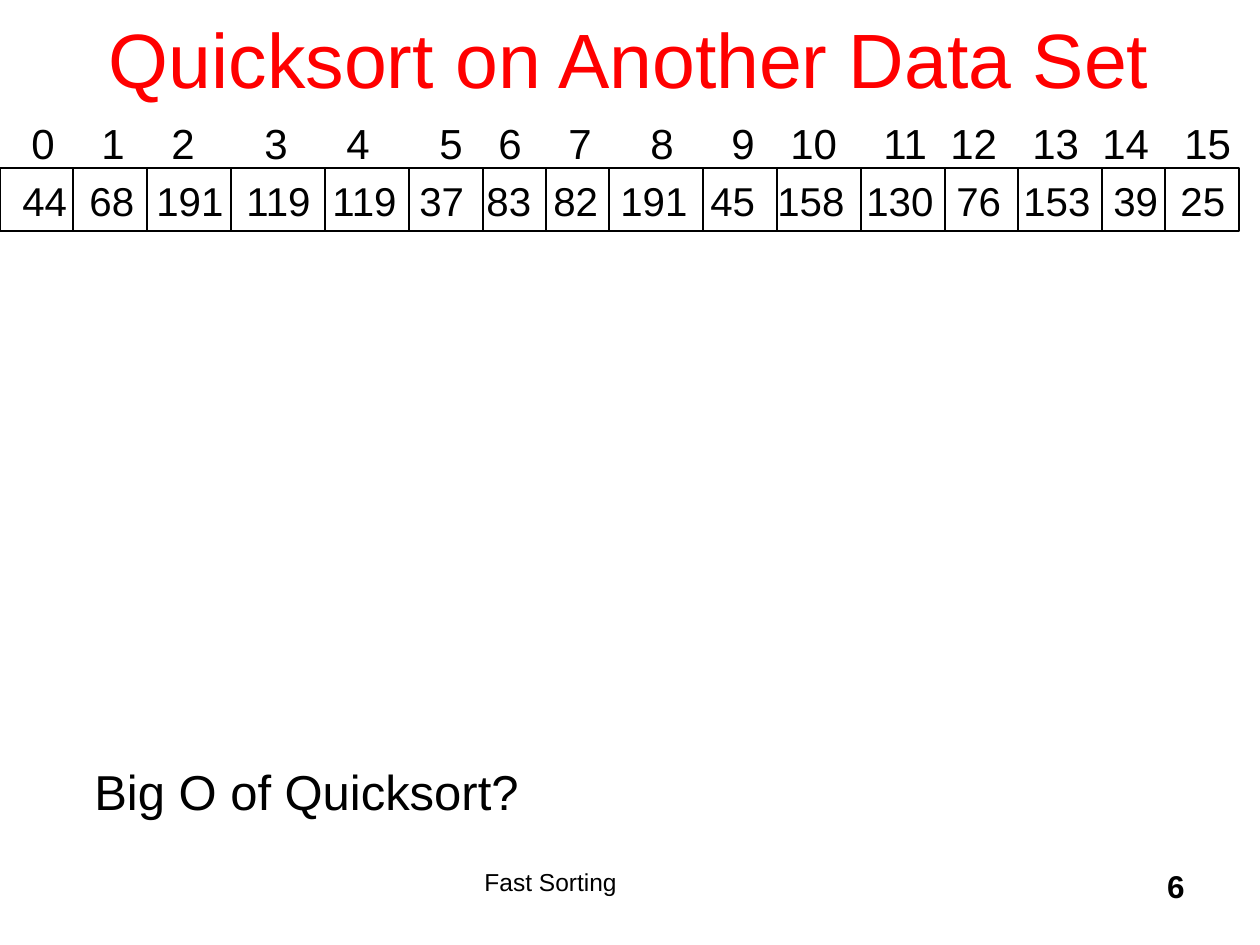
"""Build a slide showing an indexed array of sixteen numbers for quicksort."""
from dataclasses import dataclass

from lxml.etree import SubElement as Sub
from pptx import Presentation
from pptx.dml.color import RGBColor as Rgb
from pptx.enum.shapes import MSO_CONNECTOR as Link, MSO_SHAPE as Form
from pptx.enum.text import MSO_ANCHOR as Anchor, PP_ALIGN as Align
from pptx.oxml.ns import qn
from pptx.slide import Slide
from pptx.util import Emu, Pt

SCALE = 914400 / 126


@dataclass(frozen=True)
class Theme:
    font: str = "Arial"
    ink: Rgb = Rgb(0, 0, 0)
    red: Rgb = Rgb(255, 0, 0)
    title: int = 44
    query: int = 28
    index: int = 24
    value: int = 23
    page: int = 18
    foot: int = 14
    rule: float = 0.75


@dataclass(frozen=True)
class Label:
    text: str
    box: tuple[int, int, int, int]
    size: int
    color: Rgb = Theme.ink
    align: Align = Align.LEFT
    anchor: Anchor = Anchor.TOP
    bold: bool = False
    lead: float = 0
    tabs: tuple[int, ...] = ()


VALUES = (44, 68, 191, 119, 119, 37, 83, 82, 191, 45, 158, 130, 76, 153, 39, 25)
STOPS = (67, 134, 224, 310, 397, 464, 531, 598, 688, 755, 844, 934, 1001, 1091, 1158)
MARKS = (70, 140, 233, 315, 408, 467, 537, 619, 700, 759, 852, 919, 1001, 1071, 1153)
WALLS = (73, 147, 231, 325, 409, 483, 546, 609, 703, 777, 861, 945, 1018, 1102, 1165)
TOP, WIDE, HIGH = 168, 1239, 63

LABELS = (
    Label("Fast Sorting", (472, 861, 420, 63), Theme.foot),
    Label("6", (935, 861, 262, 63), Theme.page, align=Align.RIGHT, bold=True),
    Label("Quicksort on Another Data Set", (94, -21, 1071, 157), Theme.title,
          Theme.red, Align.CENTER, Anchor.MIDDLE),
    Label("\t".join(map(str, VALUES)), (10, 170, 1232, 60), Theme.value,
          lead=0.12, tabs=STOPS),
    Label("\t".join(map(str, range(len(VALUES)))), (19, 111, 1232, 63), Theme.index,
          lead=0.12, tabs=MARKS),
    Label("Big O of Quicksort?", (82, 755, 450, 72), Theme.query, lead=0.12),
)


def px(num: int) -> Emu:
    return Emu(round(num * SCALE))


def write(slide: Slide, item: Label) -> None:
    frame = slide.shapes.add_textbox(*map(px, item.box)).text_frame
    frame.word_wrap = True
    frame.vertical_anchor = item.anchor
    para = frame.paragraphs[0]
    para.text = item.text
    para.alignment = item.align
    para.space_before = Pt(item.lead * item.size)
    para.font.name = Theme.font
    para.font.size = Pt(item.size)
    para.font.bold = item.bold
    para.font.color.rgb = item.color
    if item.tabs:
        stops = Sub(para._p.get_or_add_pPr(), qn("a:tabLst"))
        for pos in item.tabs:
            Sub(stops, qn("a:tab"), pos=str(px(pos)), algn="l")
        props = stops.getparent()
        props.remove(stops)
        props.insert(props.index(props.find(qn("a:defRPr"))), stops)


def frame(slide: Slide) -> None:
    shape = slide.shapes.add_shape(Form.RECTANGLE, *map(px, (0, TOP, WIDE, HIGH)))
    shape.shadow.inherit = False
    shape.fill.background()
    shape.line.color.rgb = Theme.ink
    shape.line.width = Pt(Theme.rule)


def wall(slide: Slide, left: int) -> None:
    ends = map(px, (left, TOP, left, TOP + HIGH))
    line = slide.shapes.add_connector(Link.STRAIGHT, *ends)
    line.line.color.rgb = Theme.ink
    line.line.width = Pt(Theme.rule)
    Sub(line._element.spPr, qn("a:effectLst"))


def main() -> None:
    deck = Presentation()
    deck.slide_width, deck.slide_height = px(1260), px(945)
    slide = deck.slides.add_slide(deck.slide_layouts[6])
    frame(slide)
    for left in WALLS:
        wall(slide, left)
    for item in LABELS:
        write(slide, item)
    deck.save("out.pptx")


if __name__ == "__main__":
    main()
